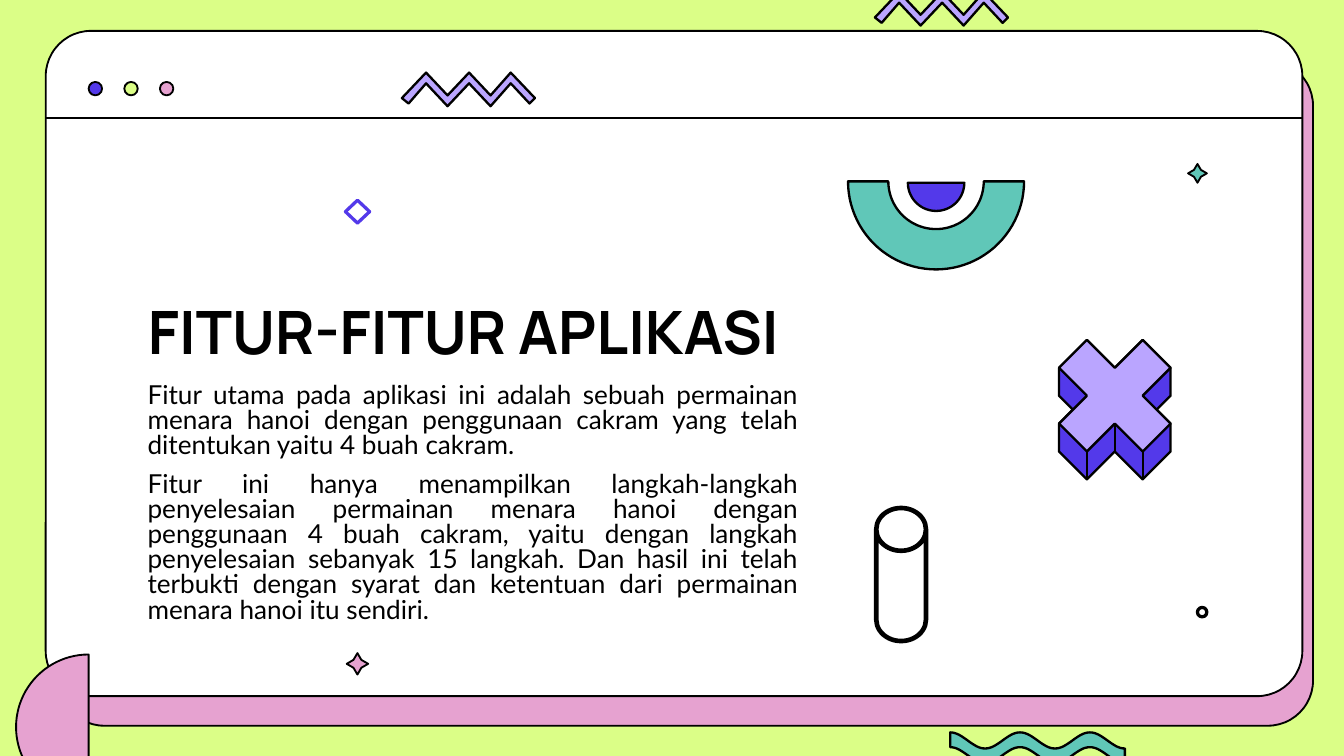
import math
from dataclasses import dataclass

import pptx
import pptx.dml.color
import pptx.enum.shapes
import pptx.enum.text
import pptx.oxml
import pptx.oxml.ns
import pptx.util
from pptx.util import Inches

SHAPE = pptx.enum.shapes.MSO_SHAPE
ALIGN = pptx.enum.text.PP_ALIGN
ANCHOR = pptx.enum.text.MSO_ANCHOR


@dataclass(frozen=True)
class Theme:
    lime: str = "DBFE87"
    pink: str = "E6A2D0"
    teal: str = "60C7B8"
    indigo: str = "5339EA"
    lilac: str = "BAA5FF"
    white: str = "FFFFFF"
    ink: str = "000000"
    title_font: str = "Manrope"
    body_font: str = "Lato"
    title_size: float = 32
    body_size: float = 14
    thin: float = 1
    medium: float = 1.25
    bold: float = 1.75
    heavy: float = 2.5


@dataclass(frozen=True)
class Box:
    left: float
    top: float
    width: float
    height: float


THEME = Theme()
PAGE_WIDTH = 10
PAGE_HEIGHT = PAGE_WIDTH * 9 / 16
TITLE = "FITUR-FITUR APLIKASI"
PARAGRAPHS = [
    "Fitur utama pada aplikasi ini adalah sebuah permainan menara hanoi dengan "
    "penggunaan cakram yang telah ditentukan yaitu 4 buah cakram.",
    "Fitur ini hanya menampilkan langkah-langkah penyelesaian permainan menara hanoi "
    "dengan penggunaan 4 buah cakram, yaitu dengan langkah penyelesaian sebanyak 15 "
    "langkah. Dan hasil ini telah terbukti dengan syarat dan ketentuan dari permainan "
    "menara hanoi itu sendiri.",
]


def color(value):
    return pptx.dml.color.RGBColor.from_string(value)


def paint(shape, fill, weight, line=THEME.ink):
    """Set fill (None for hollow) and outline, and drop the shadow."""
    shape.shadow.inherit = False
    if fill:
        shape.fill.solid()
        shape.fill.fore_color.rgb = color(fill)
    else:
        shape.fill.background()
    shape.line.color.rgb = color(line)
    shape.line.width = pptx.util.Pt(weight)


def add_preset(page, kind, box, fill, weight=THEME.thin, line=THEME.ink, adjust=None):
    shape = page.shapes.add_shape(
        kind, Inches(box.left), Inches(box.top), Inches(box.width), Inches(box.height))
    if adjust is not None:
        shape.adjustments[0] = adjust
    paint(shape, fill, weight, line)


def add_outline(page, box, points, fill, weight=THEME.medium):
    """Draw a closed outline whose points are inches from the box's corner."""
    corners = [(Inches(box.left + x), Inches(box.top + y)) for x, y in points]
    builder = page.shapes.build_freeform(*corners[0])
    builder.add_line_segments(corners[1:], close=True)
    paint(builder.convert_to_shape(), fill, weight)


def add_line(page, start, end, weight=THEME.thin):
    line = page.shapes.add_connector(
        pptx.enum.shapes.MSO_CONNECTOR.STRAIGHT, *map(Inches, (*start, *end)))
    line.line.color.rgb = color(THEME.ink)
    line.line.width = pptx.util.Pt(weight)
    line.element.spPr.append(
        pptx.oxml.parse_xml(f"<a:effectLst {pptx.oxml.ns.nsdecls('a')}/>"))


def arc(center_x, center_y, radius, start, end, steps=48):
    """Points along an arc; angles in degrees, clockwise from the right."""
    angles = [math.radians(start + (end - start) * i / steps) for i in range(steps + 1)]
    return [(center_x + radius * math.cos(a), center_y + radius * math.sin(a))
            for a in angles]


def add_window(page, box):
    """Browser window: offset backing, panel, title bar rule and three buttons."""
    backing = Box(box.left + 0.1, box.top + 0.22, box.width - 0.02, box.height)
    for part, fill in ((backing, THEME.pink), (box, THEME.white)):
        add_preset(page, SHAPE.ROUNDED_RECTANGLE, part, fill, adjust=0.068)
    bar = box.top + 0.65
    add_line(page, (box.left, bar), (box.left + box.width, bar))
    for i, fill in enumerate((THEME.indigo, THEME.lime, THEME.pink)):
        dot = Box(box.left + 0.32 + i * 0.265, box.top + 0.38, 0.1, 0.1)
        add_preset(page, SHAPE.OVAL, dot, fill)


def add_zigzag(page, box):
    valleys = [(0.66, 0.17), (0.5, 0), (0.34, 0.17), (0.18, 0)]
    lower = [(x, y + 0.08) for x, y in valleys]
    points = lower + [(0.05, 0.23), (0, 0.19)] + valleys[::-1]
    points += [(0.81, 0), (0.99, 0.19), (0.95, 0.23), (0.81, 0.08)]
    add_outline(page, box, points, THEME.lilac)


def add_wave(page, box, thickness=0.11, cycles=2.5, steps=80):
    swing = (box.height - thickness) / 2
    upper = [(box.width * i / steps,
              swing * (1 - math.cos(2 * math.pi * cycles * i / steps)))
             for i in range(steps + 1)]
    lower = [(x, y + thickness) for x, y in reversed(upper)]
    add_outline(page, box, upper + lower, THEME.teal)


def add_arch(page, box):
    radius = box.width / 2
    ring = arc(radius, 0, radius, 0, 180) + arc(radius, 0, radius - 0.3, 180, 0)
    add_outline(page, box, ring, THEME.teal)
    add_outline(page, box, arc(radius, 0.01, 0.21, 0, 180), THEME.indigo)


def add_half_disc(page, box):
    points = arc(box.width, box.width, box.width, 90, 270)
    add_outline(page, box, points, THEME.pink, THEME.thin)


def add_cross(page, box):
    """Solid diagonal cross with its sides showing below."""
    unit = box.width / 4
    face = [(3, 0), (4, 1), (3, 2), (4, 3), (3, 4), (2, 3),
            (1, 4), (0, 3), (1, 2), (0, 1), (1, 0), (2, 1)]
    solid = [(3, 0), (4, 1), (4, 2), (3.5, 2.5), (4, 3), (4, 4), (3, 5), (2, 4),
             (1, 5), (0, 4), (0, 3), (0.5, 2.5), (0, 2), (0, 1), (1, 0), (2, 1)]
    for grid, fill in ((solid, THEME.indigo), (face, THEME.lilac)):
        add_outline(page, box, [(x * unit, y * unit) for x, y in grid], fill)
    for x, y in ((1, 4), (2, 3), (3, 4)):
        left, top = box.left + x * unit, box.top + y * unit
        add_line(page, (left, top), (left, top + unit), THEME.medium)


def add_small_marks(page):
    for box, fill in ((Box(2.58, 4.86, 0.16, 0.16), THEME.pink),
                      (Box(8.84, 1.22, 0.14, 0.14), THEME.teal)):
        add_preset(page, SHAPE.STAR_4_POINT, box, fill, adjust=0.26)
    add_preset(page, SHAPE.DIAMOND, Box(2.57, 1.49, 0.18, 0.17), None,
               THEME.bold, THEME.indigo)
    add_preset(page, SHAPE.OVAL, Box(8.91, 4.52, 0.07, 0.07), None, THEME.bold)
    add_preset(page, SHAPE.CAN, Box(6.52, 3.78, 0.37, 0.99), None,
               THEME.heavy, adjust=0.86)


def set_paragraph(para, text, font, size, spacing, align, bold=False):
    para.text = text
    para.alignment = align
    para.line_spacing = spacing
    para.space_before = pptx.util.Pt(7.5)
    para.font.name = font
    para.font.size = pptx.util.Pt(size)
    para.font.bold = bold
    para.font.color.rgb = color(THEME.ink)


def add_text(page, box):
    """Place the title and, below it, the justified paragraphs."""
    title = page.shapes.title
    title.left, title.top = Inches(box.left), Inches(box.top)
    title.width, title.height = Inches(box.width), Inches(0.79)
    title.element.getparent().append(title.element)
    title.text_frame.auto_size = pptx.enum.text.MSO_AUTO_SIZE.NONE
    title.text_frame.vertical_anchor = ANCHOR.MIDDLE
    set_paragraph(title.text_frame.paragraphs[0], TITLE, THEME.title_font,
                  THEME.title_size, 0.9, ALIGN.LEFT, bold=True)

    body = page.shapes.add_textbox(
        Inches(box.left), Inches(box.top + 0.71), Inches(box.width),
        Inches(box.height - 0.71))
    frame = body.text_frame
    frame.word_wrap = True
    for i, text in enumerate(PARAGRAPHS):
        para = frame.add_paragraph() if i else frame.paragraphs[0]
        set_paragraph(para, text, THEME.body_font, THEME.body_size, 0.8, ALIGN.JUSTIFY)


def main():
    deck = pptx.Presentation()
    deck.slide_width, deck.slide_height = Inches(PAGE_WIDTH), Inches(PAGE_HEIGHT)
    page = deck.slides.add_slide(deck.slide_layouts[5])
    page.background.fill.solid()
    page.background.fill.fore_color.rgb = color(THEME.lime)

    add_window(page, Box(0.34, 0.23, 9.35, 4.95))
    add_zigzag(page, Box(6.51, -0.06, 0.99, 0.25))
    add_text(page, Box(1, 2.1, 5.04, 2.46))
    add_arch(page, Box(6.31, 1.35, 1.31, 0.66))
    add_zigzag(page, Box(2.99, 0.54, 0.99, 0.25))
    add_half_disc(page, Box(0.12, 4.87, 0.54, 1.07))
    add_wave(page, Box(7.07, 5.45, 1.3, 0.23))
    add_small_marks(page)
    add_cross(page, Box(7.88, 2.53, 0.83, 1.04))
    deck.save("out.pptx")


if __name__ == "__main__":
    main()
